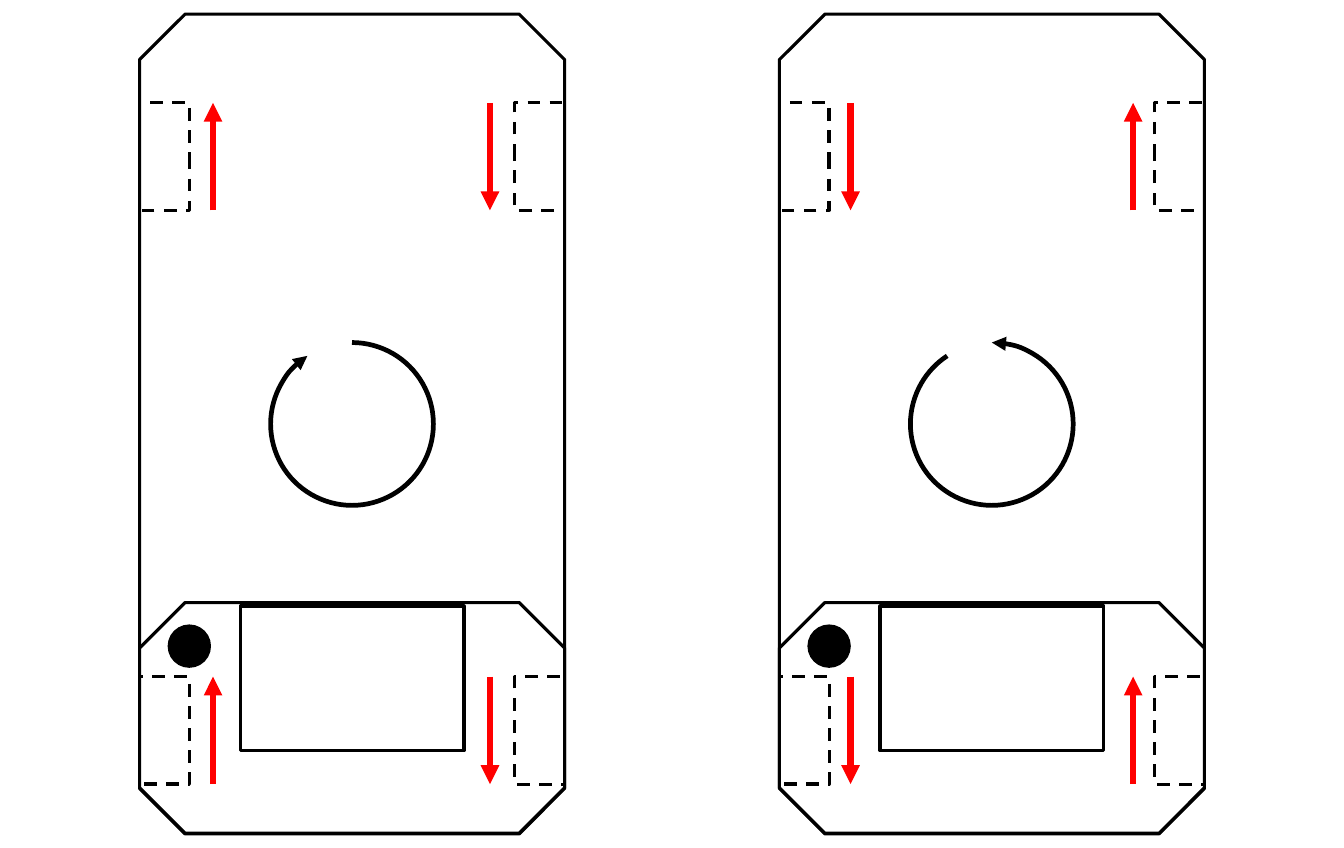
from lxml.etree import SubElement
from pptx import Presentation
from pptx.dml.color import RGBColor
from pptx.enum.dml import MSO_LINE
from pptx.enum.shapes import MSO_CONNECTOR, MSO_SHAPE
from pptx.oxml.ns import qn
from pptx.util import Inches, Pt

BLACK = RGBColor(0x00, 0x00, 0x00)
WHITE = RGBColor(0xFF, 0xFF, 0xFF)
RED = RGBColor(0xFF, 0x00, 0x00)

WIDTH, HEIGHT = Inches(11.89), Inches(7.5)
CELL = HEIGHT / 75  # square grid cell; all positions count in cells

OUTLINE = {"width": Pt(2)}
DASHED = {"width": Pt(2), "dash_style": MSO_LINE.DASH}
DOT_EDGE = {"width": Pt(1)}
SPIN = {"width": Pt(3)}
DRIVE = {"width": Pt(4)}


class Drawing:
    """Draws on one group of the current slide, in grid cells."""

    def __init__(self, page):
        self.shapes = page.shapes.add_group_shape().shapes

    def style_line(self, line, colour, formats):
        line.color.rgb = colour
        for name, value in formats.items():
            setattr(line, name, value)

    def arrowhead(self, item, end):
        line = item.line._get_or_add_ln()
        SubElement(line, qn(f"a:{end}"), type="triangle")

    def shape(self, kind, centre, size, formats, fill=None, turn=0, adjust=()):
        (x, y), (wide, high) = centre, size
        item = self.shapes.add_shape(
            kind, round((x - wide / 2) * CELL), round((y - high / 2) * CELL),
            round(wide * CELL), round(high * CELL))
        item.rotation = turn
        item.shadow.inherit = False
        for index, value in enumerate(adjust):
            item.adjustments[index] = value
        if fill is None:
            item.fill.background()
        else:
            item.fill.solid()
            item.fill.fore_color.rgb = fill
        self.style_line(item.line, BLACK, formats)
        return item

    def arrow(self, x, start, tip):
        item = self.shapes.add_connector(
            MSO_CONNECTOR.STRAIGHT, round(x * CELL), round(start * CELL),
            round(x * CELL), round(tip * CELL))
        self.style_line(item.line, RED, DRIVE)
        self.arrowhead(item, "tailEnd")
        SubElement(item._element.spPr, qn("a:effectLst"))

    def robot(self, middle, lanes, clockwise):
        # Body, rear deck, panel and marker
        self.shape(MSO_SHAPE.OCTAGON, (middle, 37.5), (72.5, 37.6),
                   OUTLINE, WHITE, 90, [0.107])
        self.shape(MSO_SHAPE.OCTAGON, (middle, 63.5), (20.4, 37.6),
                   OUTLINE, WHITE, 90, [0.197])
        self.shape(MSO_SHAPE.RECTANGLE, (middle, 60), (12.8, 19.8),
                   OUTLINE, WHITE, 90)
        self.shape(MSO_SHAPE.OVAL, (middle - 14.4, 57.15), (3.7, 3.7),
                   DOT_EDGE, BLACK, 90)

        # Wheels, each with its drive direction
        for axle in (13.85, 64.6):
            for side, lane in zip((-1, 1), lanes):
                turn = 90 if (axle < 37.5) == (side > 0) else 270
                self.shape(MSO_SHAPE.RECTANGLE, (middle + side * 16.6, axle),
                           (9.5, 4.4), DASHED, turn=turn)
                upward = 1 if (side < 0) == clockwise else -1
                self.arrow(middle + lane, axle + upward * 4.75,
                           axle - upward * 4.75)

        # Resulting rotation
        spin = self.shape(MSO_SHAPE.ARC, (middle, 37.5), (14.4, 14.4),
                          SPIN, adjust=[162, 142.04])
        self.arrowhead(spin, "tailEnd" if clockwise else "headEnd")


def main():
    deck = Presentation()
    deck.slide_width, deck.slide_height = WIDTH, HEIGHT
    drawing = Drawing(deck.slides.add_slide(deck.slide_layouts[6]))
    drawing.robot(31.15, (-12.3, 12.2), clockwise=True)
    drawing.robot(87.75, (-12.5, 12.5), clockwise=False)
    deck.save("out.pptx")


if __name__ == "__main__":
    main()
